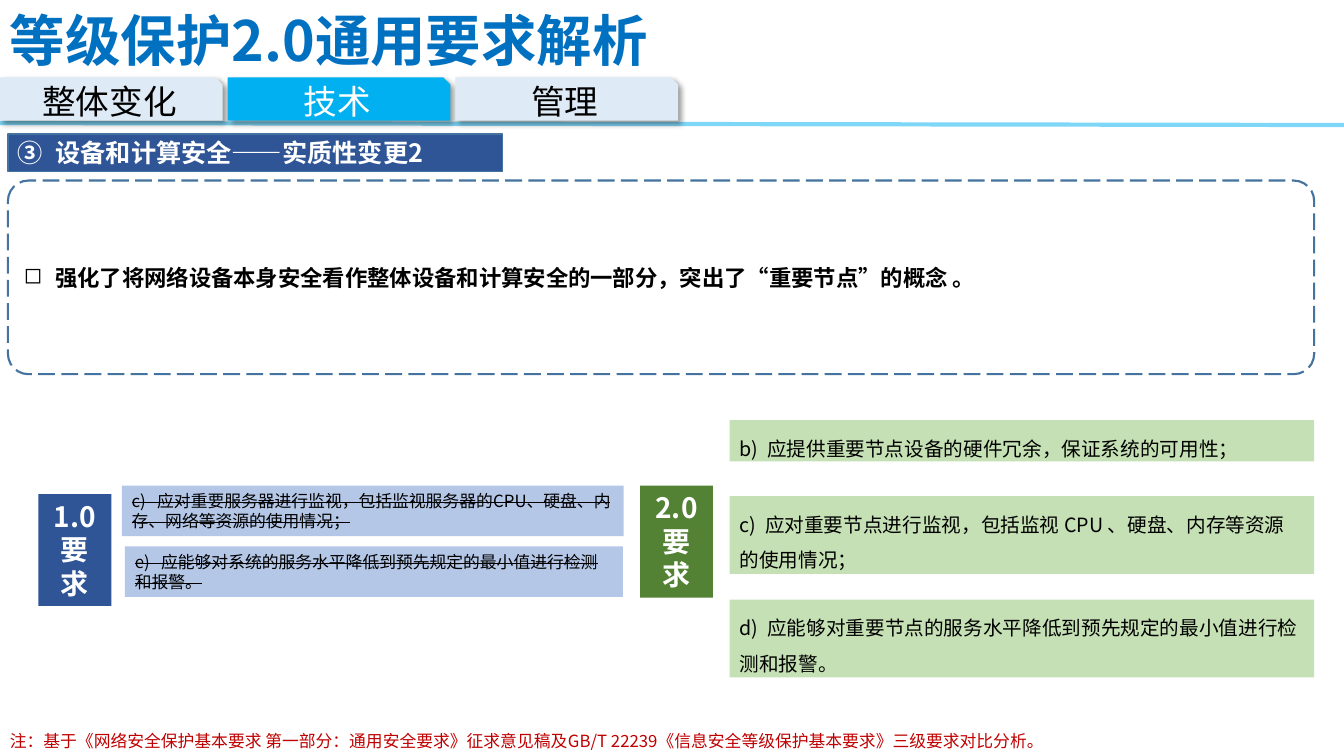
"""Build the slide comparing version 1.0 and 2.0 equipment security requirements."""
import lxml.etree
import pptx
import pptx.dml.color
import pptx.enum.dml
import pptx.enum.shapes
import pptx.enum.text
import pptx.oxml
import pptx.oxml.ns
import pptx.util

Cm, Pt = pptx.util.Cm, pptx.util.Pt
RGB = pptx.dml.color.RGBColor.from_string
SHAPE = pptx.enum.shapes.MSO_SHAPE
ALIGN = pptx.enum.text.PP_ALIGN
ANCHOR = pptx.enum.text.MSO_ANCHOR
FIT = pptx.enum.text.MSO_AUTO_SIZE
qn = pptx.oxml.ns.qn
NS = pptx.oxml.ns.nsdecls("a")


class Theme:
    font = "Noto Sans CJK SC"
    black, white = "000000", "FFFFFF"
    title, note, accent = "0070C0", "C00000", "00B0F0"
    tab, outline = "DEEBF7", "43739E"
    navy, pale_blue = "2F5597", "B4C7E7"
    green, pale_green = "548235", "C5E0B4"
    title_size, tab_size, label_size, heading_size = 39.6, 24, 20, 18
    point_size, new_size, small_size = 16, 14, 12


def write(sp, text, size, color=Theme.black, bold=False, strike=False, align=ALIGN.LEFT,
          anchor=ANCHOR.TOP, grow=False, spacing=None, after=None, bullet=None, indent=0):
    tf = sp.text_frame
    tf.word_wrap = True
    tf.auto_size = FIT.SHAPE_TO_FIT_TEXT if grow else FIT.NONE
    tf.vertical_anchor = anchor
    for i, line in enumerate(text.split("\n")):
        p = tf.paragraphs[0] if i == 0 else tf.add_paragraph()
        p.alignment = align
        if spacing:
            p.line_spacing = spacing
        if after:
            p.space_after = Pt(after)
        if bullet:
            pPr = p._p.get_or_add_pPr()
            pPr.set("marL", str(Cm(indent)))
            pPr.set("indent", str(-Cm(indent)))
            pPr.append(pptx.oxml.parse_xml(bullet))
        r = p.add_run()
        r.text = line
        r.font.name = Theme.font
        r.font.size = Pt(size)
        r.font.bold = bold
        r.font.color.rgb = RGB(color)
        rPr = r._r.get_or_add_rPr()
        lxml.etree.SubElement(rPr, qn("a:ea")).set("typeface", Theme.font)
        if strike:
            rPr.set("strike", "sngStrike")


def add_box(kind, left, top, width, height, fill=None, line=None, weight=1):
    sp = s.shapes.add_shape(kind, Cm(left), Cm(top), Cm(width), Cm(height))
    sp.shadow.inherit = False
    if fill:
        sp.fill.solid()
        sp.fill.fore_color.rgb = RGB(fill)
    else:
        sp.fill.background()
    if line:
        sp.line.color.rgb = RGB(line)
        sp.line.width = Pt(weight)
    else:
        sp.line.fill.background()
    return sp


prs = pptx.Presentation()
prs.slide_width, prs.slide_height = Cm(33.87), Cm(19.05)
s = prs.slides.add_slide(prs.slide_layouts[6])

rule = s.shapes.add_connector(pptx.enum.shapes.MSO_CONNECTOR.STRAIGHT,
                              Cm(0), Cm(3.1), Cm(33.87), Cm(3.15))
rule.line.color.rgb = RGB(Theme.accent)
rule.line.width = Pt(3)
rule_color = rule.line._ln.find(".//" + qn("a:srgbClr"))
lxml.etree.SubElement(rule_color, qn("a:alpha")).set("val", "50000")
lxml.etree.SubElement(rule._element.spPr, qn("a:effectLst"))

title = s.shapes.add_textbox(Cm(0), Cm(0.03), Cm(21.87), Cm(1.9))
write(title, "等级保护2.0通用要求解析", Theme.title_size, Theme.title, bold=True,
      align=ALIGN.JUSTIFY, anchor=ANCHOR.MIDDLE)

TABS = [("整体变化", Theme.tab, Theme.black),
        ("技术", Theme.accent, Theme.white),
        ("管理", Theme.tab, Theme.black)]
for i, (name, fill, color) in enumerate(TABS):
    tab = add_box(SHAPE.SNIP_1_RECTANGLE, i * 5.74, 1.95, 5.61, 1.09, fill)
    write(tab, name, Theme.tab_size, color, align=ALIGN.CENTER, anchor=ANCHOR.MIDDLE)
    effects = tab._element.spPr.find(qn("a:effectLst"))
    effects.append(pptx.oxml.parse_xml(
        f'<a:outerShdw {NS} blurRad="{Pt(4)}" dist="{Pt(3)}" dir="2700000" algn="tl" '
        f'rotWithShape="0"><a:srgbClr val="{Theme.black}"><a:alpha val="40000"/>'
        '</a:srgbClr></a:outerShdw>'))

heading = add_box(SHAPE.RECTANGLE, 0.2, 3.38, 12.47, 0.94, Theme.navy, Theme.outline)
write(heading, "设备和计算安全——实质性变更2", Theme.heading_size, Theme.white, bold=True,
      align=ALIGN.JUSTIFY, anchor=ANCHOR.MIDDLE, indent=0.95,
      bullet=f'<a:buAutoNum {NS} type="circleNumDbPlain" startAt="3"/>')

point = add_box(SHAPE.ROUNDED_RECTANGLE, 0.2, 4.55, 32.92, 4.88, line=Theme.outline, weight=1.5)
point.adjustments[0] = 0.106
point.line.dash_style = pptx.enum.dml.MSO_LINE.LONG_DASH
write(point, "强化了将网络设备本身安全看作整体设备和计算安全的一部分，突出了“重要节点”的概念 。",
      Theme.point_size, bold=True, align=ALIGN.JUSTIFY, anchor=ANCHOR.MIDDLE, after=6,
      indent=0.79, bullet=f'<a:buChar {NS} char="◻"/>')

VERSIONS = [("1.0\n要求", 0.97, 12.45, Theme.navy),
            ("2.0\n要求", 16.13, 12.24, Theme.green)]
for text, left, top, fill in VERSIONS:
    label = add_box(SHAPE.RECTANGLE, left, top, 1.84, 2.82, fill)
    write(label, text, Theme.label_size, Theme.white, bold=True, align=ALIGN.CENTER, grow=True)

OLD_RULES = [
    ("c)   应对重要服务器进行监视，包括监视服务器的CPU、硬盘、内存、网络等资源的使用情况；",
     3.07, 12.24, 12.65),
    ("e)   应能够对系统的服务水平降低到预先规定的最小值进行检测和报警。", 3.15, 13.77, 12.55)]
for text, left, top, width in OLD_RULES:
    old = add_box(SHAPE.RECTANGLE, left, top, width, 1.27, Theme.pale_blue)
    write(old, text, Theme.small_size, strike=True, grow=True)

NEW_RULES = [
    ("b)  应提供重要节点设备的硬件冗余，保证系统的可用性；", 10.59, 1.04),
    ("c)  应对重要节点进行监视，包括监视 CPU 、硬盘、内存等资源的使用情况；", 12.5, 1.96),
    ("d)  应能够对重要节点的服务水平降低到预先规定的最小值进行检测和报警。", 15.11, 1.96)]
for text, top, height in NEW_RULES:
    new = add_box(SHAPE.RECTANGLE, 18.39, top, 14.73, height, Theme.pale_green)
    write(new, text, Theme.new_size, spacing=1.5, grow=True)

note = s.shapes.add_textbox(Cm(0), Cm(18.29), Cm(30.48), Cm(0.76))
write(note, "注：基于《网络安全保护基本要求 第一部分：通用安全要求》征求意见稿及GB/T 22239"
      "《信息安全等级保护基本要求》三级要求对比分析。", Theme.small_size, Theme.note, grow=True)

prs.save("out.pptx")
